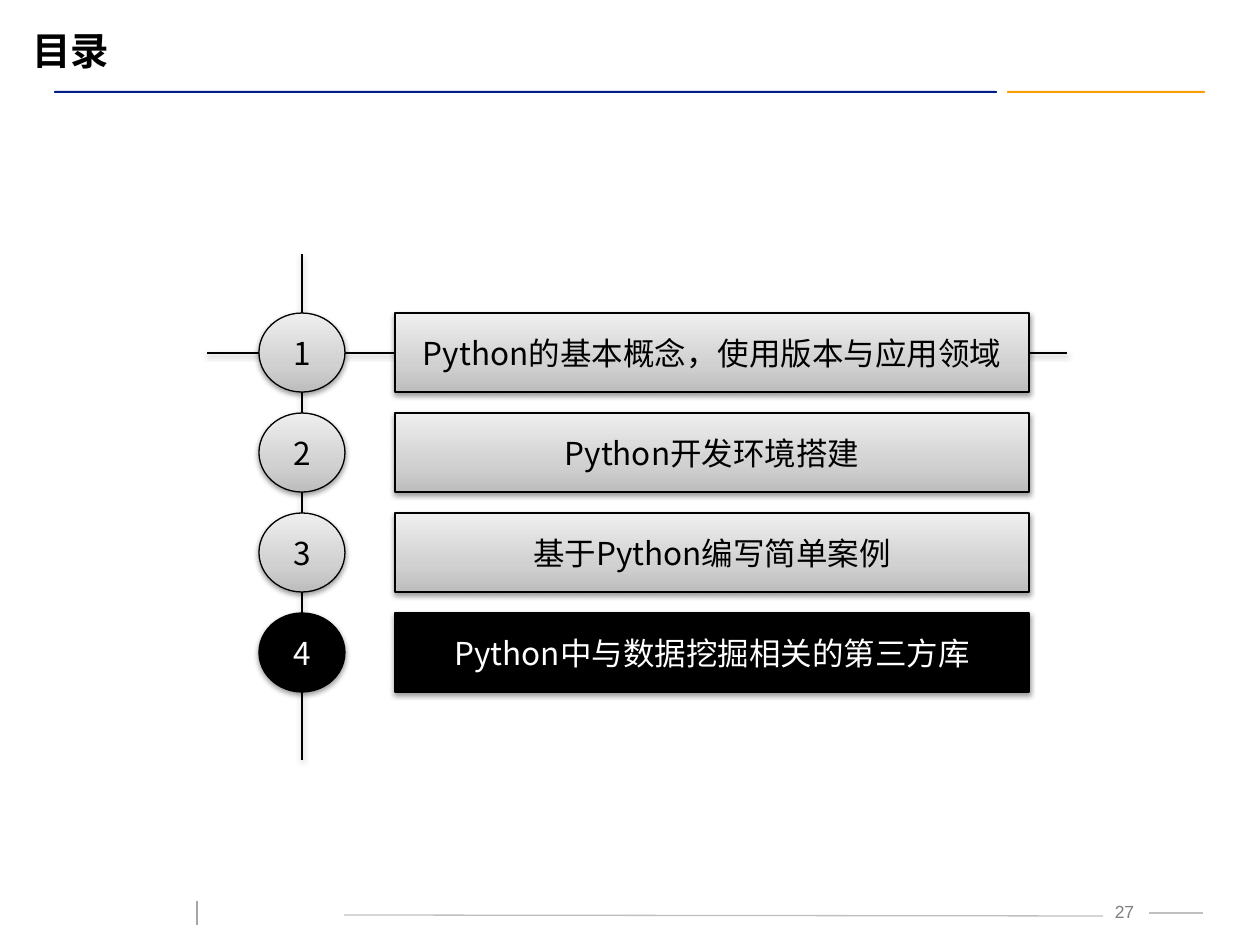
from copy import deepcopy
from dataclasses import dataclass

from lxml.etree import SubElement
from pptx import Presentation
from pptx.dml.color import RGBColor
from pptx.enum.shapes import MSO_CONNECTOR, MSO_SHAPE
from pptx.enum.text import MSO_ANCHOR, PP_ALIGN
from pptx.oxml.ns import qn
from pptx.util import Emu, Pt

SCALE = 914400 / 126  # EMU in one px


@dataclass(frozen=True)
class Theme:
    ink: str = "000000"
    paper: str = "FFFFFF"
    navy: str = "031D89"
    gold: str = "F5A000"
    rule: str = "BFBFBF"
    tick: str = "A6A6A6"
    page: str = "7F7F7F"
    stops: tuple = ((0, "BDBDBD"), (0.35, "D1D1D1"), (1, "EEEEEE"))
    latin: str = "Arial"
    han: str = "Noto Sans CJK SC"
    head: int = 22
    item: int = 18
    foot: int = 10
    line: float = 0.75


@dataclass(frozen=True)
class Box:
    x: int
    y: int
    w: int
    h: int


@dataclass(frozen=True)
class Rule:
    x1: int
    y1: int
    x2: int
    y2: int
    color: str
    shade: bool = False


THEME = Theme()


def px(n: int) -> Emu:
    return Emu(round(n * SCALE))


def area(box: Box) -> tuple:
    return px(box.x), px(box.y), px(box.w), px(box.h)


def rgb(code: str) -> RGBColor:
    return RGBColor.from_string(code)


def shade(shape, on: bool = True) -> None:
    """Drop a soft shadow straight down, or switch it off."""
    group = SubElement(shape._element.spPr, qn("a:effectLst"))
    if on:
        drop = SubElement(group, qn("a:outerShdw"), blurRad="40000",
                          dist="20000", dir="5400000", rotWithShape="0")
        tint = SubElement(drop, qn("a:srgbClr"), val=THEME.ink)
        SubElement(tint, qn("a:alpha"), val="38000")


def write(frame, text: str, size: int, color: str, font: str,
          align=PP_ALIGN.CENTER, bold: bool = False) -> None:
    frame.text = text
    frame.vertical_anchor = MSO_ANCHOR.MIDDLE
    para = frame.paragraphs[0]
    para.alignment = align
    run = para.runs[0]
    run.font.size = Pt(size)
    run.font.bold = bold
    run.font.color.rgb = rgb(color)
    run.font.name = font
    SubElement(run.font._element, qn("a:ea"), typeface=THEME.han)


def blend(shape) -> None:
    """Fill with the grey stops, darkest at the bottom."""
    fill = shape.fill
    fill.gradient()
    fill.gradient_angle = 90
    group = shape._element.spPr.find(".//" + qn("a:gsLst"))
    group.append(deepcopy(group[-1]))
    for stop, (place, color) in zip(fill.gradient_stops, THEME.stops):
        stop.position = place
        stop.color.rgb = rgb(color)


def draw_rule(slide, rule: Rule) -> None:
    line = slide.shapes.add_connector(
        MSO_CONNECTOR.STRAIGHT, px(rule.x1), px(rule.y1), px(rule.x2), px(rule.y2))
    line.line.color.rgb = rgb(rule.color)
    line.line.width = Pt(THEME.line)
    shade(line, rule.shade)


def draw_band(slide, box: Box, color: str) -> None:
    band = slide.shapes.add_shape(MSO_SHAPE.ROUNDED_RECTANGLE, *area(box))
    band.adjustments[0] = 0.5
    band.fill.solid()
    band.fill.fore_color.rgb = rgb(color)
    band.line.fill.background()
    band.shadow.inherit = False


def draw_cell(slide, kind, box: Box, text: str, live: bool) -> None:
    cell = slide.shapes.add_shape(kind, *area(box))
    if live:
        cell.fill.solid()
        cell.fill.fore_color.rgb = rgb(THEME.ink)
    else:
        blend(cell)
    cell.line.color.rgb = rgb(THEME.ink)
    cell.line.width = Pt(THEME.line)
    shade(cell)
    cell.text_frame.word_wrap = False
    write(cell.text_frame, text, THEME.item,
          THEME.paper if live else THEME.ink, THEME.han)


def main() -> None:
    deck = Presentation()
    deck.slide_width, deck.slide_height = px(1260), px(945)
    slide = deck.slides.add_slide(deck.slide_layouts[5])

    # Title and the two bands below it
    title = slide.shapes.title
    title.left, title.top, title.width, title.height = area(Box(20, 21, 1147, 59))
    write(title.text_frame, "目录", THEME.head, THEME.ink, THEME.latin,
          PP_ALIGN.LEFT, True)
    draw_band(slide, Box(1007, 91, 198, 2), THEME.gold)
    draw_band(slide, Box(54, 91, 943, 2), THEME.navy)

    # Footer rules, then the cross behind the items
    for rule in (
        Rule(344, 915, 1103, 916, THEME.rule),
        Rule(1149, 913, 1203, 913, THEME.rule),
        Rule(197, 901, 197, 925, THEME.tick),
        Rule(302, 254, 302, 760, THEME.ink, True),
        Rule(207, 353, 1067, 353, THEME.ink, True),
    ):
        draw_rule(slide, rule)

    # Page number
    page = slide.shapes.add_textbox(*area(Box(1095, 896, 59, 31)))
    page.text_frame.word_wrap = True
    write(page.text_frame, "27", THEME.foot, THEME.page, THEME.latin)

    # Numbered items, the last one current
    items = (
        "Python的基本概念，使用版本与应用领域",
        "Python开发环境搭建",
        "基于Python编写简单案例",
        "Python中与数据挖掘相关的第三方库",
    )
    top, pitch, high = 313, 100, 79
    for i, text in enumerate(items):
        y, live = top + i * pitch, i == len(items) - 1
        draw_cell(slide, MSO_SHAPE.ACTION_BUTTON_CUSTOM,
                  Box(395, y, 634, high), text, live)
        draw_cell(slide, MSO_SHAPE.OVAL, Box(259, y, 86, high), str(i + 1), live)

    deck.save("out.pptx")


if __name__ == "__main__":
    main()
